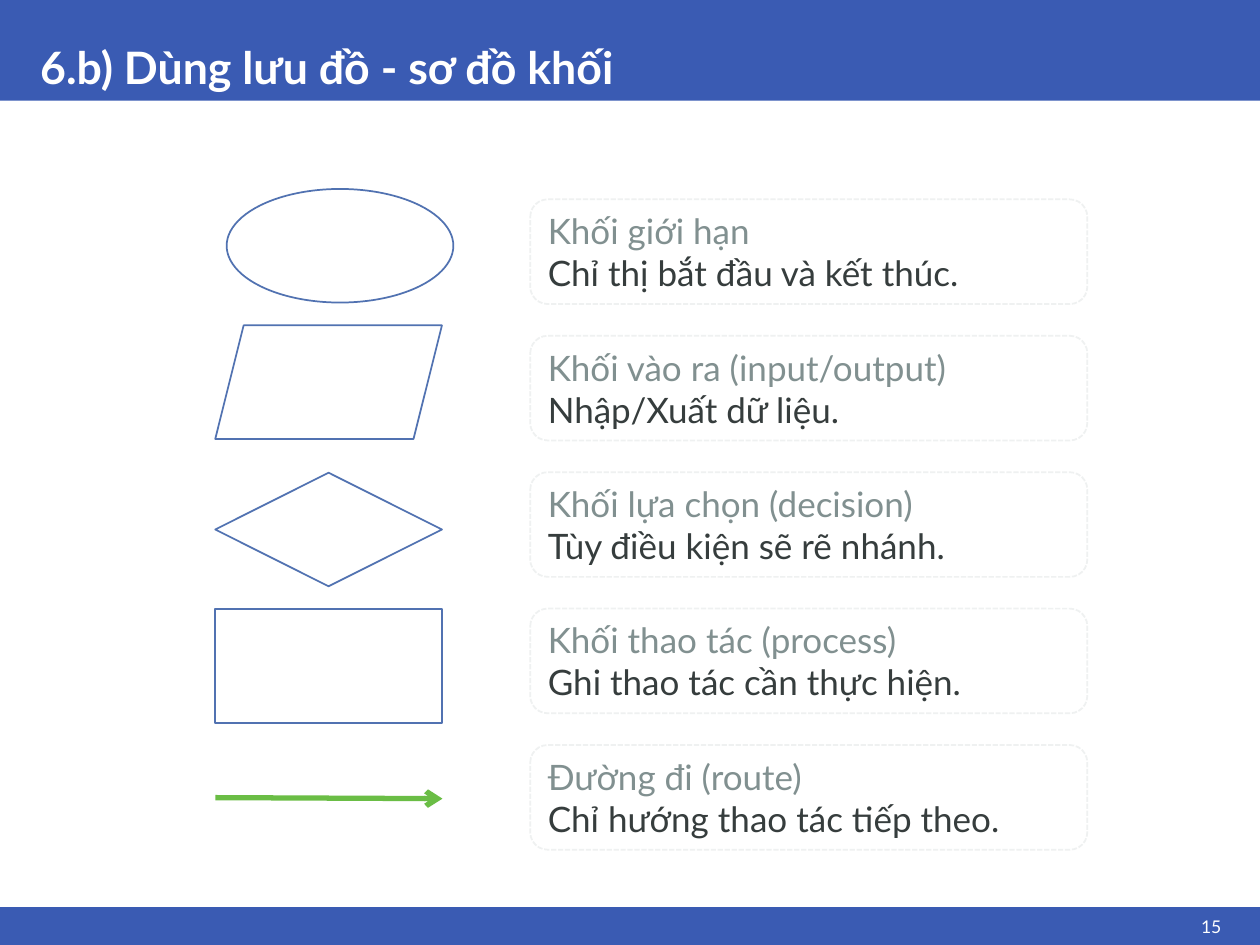
from lxml.etree import SubElement
from pptx import Presentation
from pptx.dml.color import RGBColor
from pptx.enum.dml import MSO_LINE
from pptx.enum.shapes import MSO_CONNECTOR, MSO_SHAPE
from pptx.enum.text import MSO_ANCHOR, PP_ALIGN
from pptx.oxml.ns import qn
from pptx.util import Cm, Pt

BLUE, WHITE, EDGE = "3A5BB3", "FFFFFF", "5172B1"
GREY, DARK, PALE, GREEN = "819090", "363D3D", "EFF1F1", "6ABD45"


def paint(target, color):
    """Give a fill or line format one solid colour."""
    fill = getattr(target, "fill", target)
    fill.solid()
    fill.fore_color.rgb = RGBColor.from_string(color)


def apply(target, values):
    for name, value in values.items():
        setattr(target, name, value)


class Deck:
    font = "Lato"

    def __init__(self, wide, high):
        self.prs = Presentation()
        apply(self.prs, {"slide_width": Cm(wide), "slide_height": Cm(high)})
        self.slide = self.prs.slides.add_slide(self.prs.slide_layouts[6])

    def block(self, kind, place, fill, edge=None, dash=None):
        shape = self.slide.shapes.add_shape(kind, *map(Cm, place))
        shape.shadow.inherit = False
        paint(shape.fill, fill)
        if edge:
            paint(shape.line, edge)
            apply(shape.line, {"width": Pt(1), "dash_style": dash})
        else:
            shape.line.fill.background()
        return shape

    def set_text(self, shape, lines, size, anchor=MSO_ANCHOR.MIDDLE, bold=False, **form):
        """Fill a shape with (text, colour) paragraphs."""
        frame = shape.text_frame
        apply(frame, {"word_wrap": True, "vertical_anchor": anchor})
        for i, (text, color) in enumerate(lines):
            par = frame.add_paragraph() if i else frame.paragraphs[0]
            apply(par, {"alignment": PP_ALIGN.LEFT, **form})
            run = par.add_run()
            run.text = text
            apply(run.font, {"name": self.font, "size": Pt(size), "bold": bold})
            paint(run.font, color)

    def label(self, place, text, size, **form):
        box = self.slide.shapes.add_textbox(*map(Cm, place))
        self.set_text(box, [(text, WHITE)], size, **form)

    def arrow(self, ends, color, width):
        line = self.slide.shapes.add_connector(MSO_CONNECTOR.STRAIGHT, *map(Cm, ends))
        paint(line.line, color)
        line.line.width = Pt(width)
        props = line._element.spPr
        SubElement(props.find(qn("a:ln")), qn("a:tailEnd"), type="arrow")
        SubElement(props, qn("a:effectLst"))


def main():
    deck = Deck(25.4, 19.05)
    for top, high in ((0, 2.03), (18.29, 0.76)):
        deck.block(MSO_SHAPE.RECTANGLE, (0, top, 25.4, high), BLUE)
    deck.label((0.56, 0, 24.31, 2.03), "6.b) Dùng lưu đồ - sơ đồ khối", 25.5,
               anchor=MSO_ANCHOR.BOTTOM, bold=True, line_spacing=0.9)
    deck.label((23.52, 18.34, 1.35, 0.66), "15", 10, alignment=PP_ALIGN.RIGHT)

    symbols = (
        (MSO_SHAPE.OVAL, 4.57, 3.81),
        (MSO_SHAPE.PARALLELOGRAM, 4.34, 6.56),
        (MSO_SHAPE.DIAMOND, 4.34, 9.53),
        (MSO_SHAPE.RECTANGLE, 4.34, 12.28),
    )
    for kind, left, top in symbols:
        deck.block(kind, (left, top, 4.57, 2.29), WHITE, EDGE)

    notes = (
        ("Khối giới hạn", "Chỉ thị bắt đầu và kết thúc."),
        ("Khối vào ra (input/output)", "Nhập/Xuất dữ liệu."),
        ("Khối lựa chọn (decision)", "Tùy điều kiện sẽ rẽ nhánh."),
        ("Khối thao tác (process)", "Ghi thao tác cần thực hiện."),
        ("Đường đi (route)", "Chỉ hướng thao tác tiếp theo."),
    )
    for row, (name, use) in enumerate(notes):
        card = deck.block(MSO_SHAPE.ROUNDED_RECTANGLE, (10.69, 4.02 + 2.75 * row, 11.23, 2.11),
                          WHITE, PALE, MSO_LINE.SQUARE_DOT)
        deck.set_text(card, [(name, GREY), (use, DARK)], 20)

    deck.arrow((4.34, 16.08, 8.92, 16.1), GREEN, 3)
    deck.prs.save("out.pptx")


if __name__ == "__main__":
    main()
